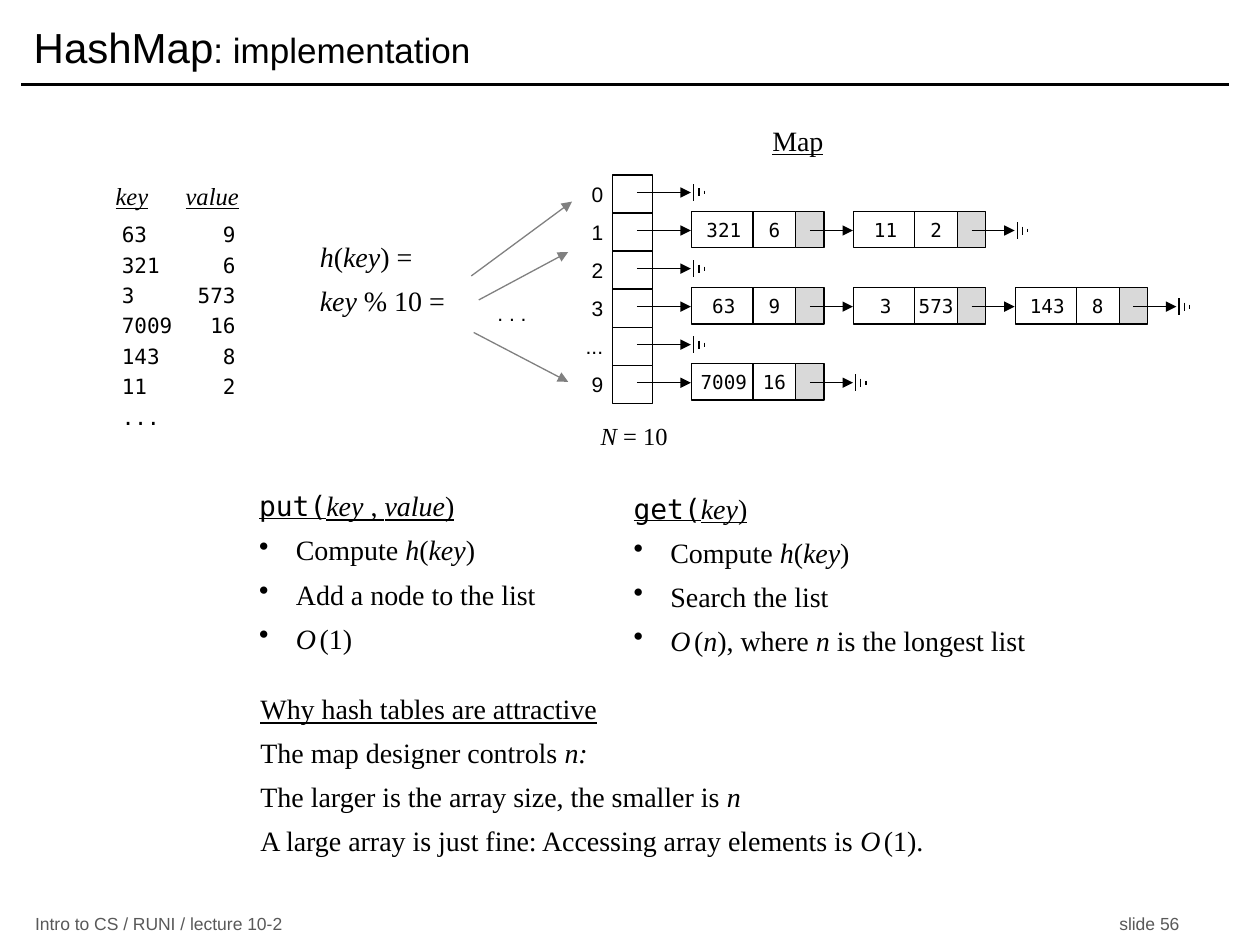
from lxml import etree
from pptx import Presentation
from pptx.dml.color import RGBColor
from pptx.enum.shapes import MSO_CONNECTOR, MSO_SHAPE
from pptx.enum.text import MSO_ANCHOR, PP_ALIGN
from pptx.oxml.ns import qn
from pptx.util import Pt

STRAIGHT = MSO_CONNECTOR.STRAIGHT
RECTANGLE = MSO_SHAPE.RECTANGLE
TOP, MIDDLE = MSO_ANCHOR.TOP, MSO_ANCHOR.MIDDLE
LEFT, CENTER, RIGHT = PP_ALIGN.LEFT, PP_ALIGN.CENTER, PP_ALIGN.RIGHT

COLORS = {"ink": "000000", "paper": "FFFFFF", "pointer": "D9D9D9",
          "hash": "808080", "footer": "595959"}
SANS, SERIF, MONO = "Arial", "Times New Roman", "DejaVu Sans Mono"

# Array of buckets and the list nodes hanging from it
ARRAY_LEFT, ARRAY_TOP, CELL_WIDTH, CELL_HEIGHT = 350, 100, 23, 21.74
NODE_LEFT, NODE_PITCH, NODE_HEIGHT = 395.3, 92.4, 20.9
BUCKETS = [
    ("0", []),
    ("1", [("321", "6"), ("11", "2")]),
    ("2", []),
    ("3", [("63", "9"), ("3", "573"), ("143", "8")]),
    ("...", []),
    ("9", [("7009", "16")]),
]
ENTRIES = ["63\t9", "321\t6", "3\t573", "7009\t16", "143\t8", "11\t2", "..."]


def color(name):
    return RGBColor.from_string(COLORS[name])


def add_line(page, x1, y1, x2, y2, ink="ink", width=0.75, arrow=False):
    line = page.shapes.add_connector(STRAIGHT, Pt(x1), Pt(y1), Pt(x2), Pt(y2))
    line.line.color.rgb = color(ink)
    line.line.width = Pt(width)
    if arrow:
        outline = line.line._get_or_add_ln()
        etree.SubElement(outline, qn("a:tailEnd"), type="triangle")
    etree.SubElement(line._element.spPr, qn("a:effectLst"))


def set_paragraph(para, spans, size, face, ink, align=LEFT, before=0, bullet=False, tab=None):
    """Fill a paragraph; span marks: i italic, u underlined, m mono, s small."""
    properties = para._p.get_or_add_pPr()
    if bullet:
        properties.set("marL", str(Pt(21)))
        properties.set("indent", str(-Pt(21)))
        etree.SubElement(properties, qn("a:buChar"), char="•")
    if tab:
        stops = etree.SubElement(properties, qn("a:tabLst"))
        etree.SubElement(stops, qn("a:tab"), pos=str(Pt(tab[0])), algn=tab[1])
    para.alignment = align
    para.space_before = Pt(before)
    para.font.size = Pt(size)
    para.font.name = face
    para.font.color.rgb = color(ink)
    for text, marks in spans:
        span = para.add_run()
        span.text = text
        if "i" in marks:
            span.font.italic = True
        if "u" in marks:
            span.font.underline = True
        if "m" in marks:
            span.font.name = MONO
        if "s" in marks:
            span.font.size = Pt(size / 2 if size < 20 else 20)


def fill_frame(frame, paragraphs, size, face, ink="ink", align=LEFT, anchor=TOP,
               before=0, side=7.2, bulleted=False, tab=None):
    frame.word_wrap = True
    frame.vertical_anchor = anchor
    frame.margin_left = frame.margin_right = Pt(side)
    frame.margin_top = frame.margin_bottom = Pt(3.6)
    for index, spans in enumerate(paragraphs):
        para = frame.add_paragraph() if index else frame.paragraphs[0]
        if isinstance(spans, str):
            spans = [(spans, "")]
        set_paragraph(para, spans, size, face, ink, align,
                      before if index else 0, bulleted and index > 0, tab)


def add_text(page, place, paragraphs, size, face, **options):
    box = page.shapes.add_textbox(*[Pt(length) for length in place])
    fill_frame(box.text_frame, paragraphs, size, face, **options)


def add_cell(page, x, y, width, height, fill="paper", text=None):
    cell = page.shapes.add_shape(RECTANGLE, Pt(x), Pt(y), Pt(width), Pt(height))
    cell.shadow.inherit = False
    cell.fill.solid()
    cell.fill.fore_color.rgb = color(fill)
    cell.line.color.rgb = color("ink")
    cell.line.width = Pt(0.75)
    if text:
        fill_frame(cell.text_frame, [text], 11, MONO, align=CENTER, anchor=MIDDLE, side=0)


def add_node(page, x, y, key, value):
    add_cell(page, x, y, 36.7, NODE_HEIGHT, text=key)
    add_cell(page, x + 59, y, 16.6, NODE_HEIGHT, fill="pointer")
    add_cell(page, x + 35, y, 24.5, NODE_HEIGHT, text=value)


def add_null_mark(page, x, y):
    for step, half in enumerate((4.7, 2.3, 1.1)):
        add_line(page, x + 3 * step, y - half, x + 3 * step, y + half)


def add_bucket(page, row, label, nodes):
    top = ARRAY_TOP + row * CELL_HEIGHT
    middle = top + 10
    add_cell(page, ARRAY_LEFT, top, CELL_WIDTH, CELL_HEIGHT)
    add_text(page, (314.5, top, 36, CELL_HEIGHT), [label], 12, SANS,
             align=RIGHT, anchor=MIDDLE, side=5.8)
    for index, (key, value) in enumerate(nodes):
        add_node(page, NODE_LEFT + index * NODE_PITCH, top - 1, key, value)
    # One arrow out of the bucket and one out of each node
    add_line(page, 364, middle, NODE_LEFT - 0.5, middle, arrow=True)
    for index in range(len(nodes)):
        x = NODE_LEFT + index * NODE_PITCH
        add_line(page, x + 67.5, middle, x + NODE_PITCH - 0.3, middle, arrow=True)
    add_null_mark(page, NODE_LEFT + len(nodes) * NODE_PITCH + 1.2, middle)


def add_frame(page):
    add_line(page, 12.2, 48.2, 702, 48.2, width=2)
    add_text(page, (12.2, 5.8, 690, 41.8),
             [[("HashMap", ""), (": implementation", "s")]], 24, SANS, anchor=MIDDLE)
    for x, align, text in ((13, LEFT, "Intro to CS / RUNI / lecture 10-2"),
                           (481, RIGHT, "slide 56")):
        add_text(page, (x, 518, 200, 20), [text], 10, SANS,
                 ink="footer", align=align, anchor=MIDDLE)


def add_hash_function(page):
    add_text(page, (175.7, 133.2, 92, 52),
             [[("h", "i"), ("(", ""), ("key", "i"), (") =", "")],
              [("key", "i"), (" % 10 =", "")]], 16, SERIF, before=6)
    add_text(page, (270.7, 168.5, 36, 21.6), [". . ."], 12, SANS, align=RIGHT, side=5.8)
    for ends in ((269.3, 157.7, 326.9, 115.2), (273.6, 171.4, 324.7, 144),
                 (270.7, 190, 324.7, 218.2)):
        add_line(page, *ends, ink="hash", arrow=True)


def add_explanations(page):
    compute = [("Compute ", ""), ("h", "i"), ("(", ""), ("key", "i"), (")", "")]
    big_o = [("O", "i"), (" ", "s")]
    add_text(page, (141, 275.8, 190, 93),
             [[("put(", "um"), ("key ", "iu"), (", ", "u"), ("value", "iu"), (")", "u")],
              compute, "Add a node to the list", big_o + [("(1)", "")]],
             16, SERIF, before=6, bulleted=True)
    add_text(page, (355, 277.2, 244, 93),
             [[("get(", "um"), ("key", "iu"), (")", "u")],
              compute, "Search the list",
              big_o + [("(", ""), ("n", "i"), ("), where ", ""), ("n", "i"),
                       (" is the longest list", "")]],
             16, SERIF, before=6, bulleted=True)
    add_text(page, (141.8, 391.7, 437, 107),
             [[("Why hash tables are attractive", "u")],
              [("The map designer controls ", ""), ("n:", "i")],
              [("The larger is the array size, the smaller is ", ""), ("n", "i")],
              [("A large array is just fine: Accessing array elements is ", "")]
              + big_o + [("(1).", "")]],
             16, SERIF, before=6)


def main():
    deck = Presentation()
    deck.slide_width, deck.slide_height = Pt(720), Pt(540)
    page = deck.slides.add_slide(deck.slide_layouts[6])
    add_frame(page)
    # Entries to store
    add_text(page, (59, 100, 228, 24), [[("key", "iu"), ("\t", ""), ("value", "iu")]],
             14, SERIF, tab=(40, "l"))
    add_text(page, (62.6, 123.1, 189, 122), ENTRIES, 12, MONO, before=3, tab=(65, "r"))
    add_hash_function(page)
    # Map
    add_text(page, (434.2, 66.9, 62, 24), [[("Map", "u")]], 16, SERIF)
    for row, (label, nodes) in enumerate(BUCKETS):
        add_bucket(page, row, label, nodes)
    add_text(page, (336.2, 236.9, 118, 24.5), [[("N", "i"), (" = 10", "")]], 14, SERIF)
    add_explanations(page)
    deck.save("out.pptx")


if __name__ == "__main__":
    main()
